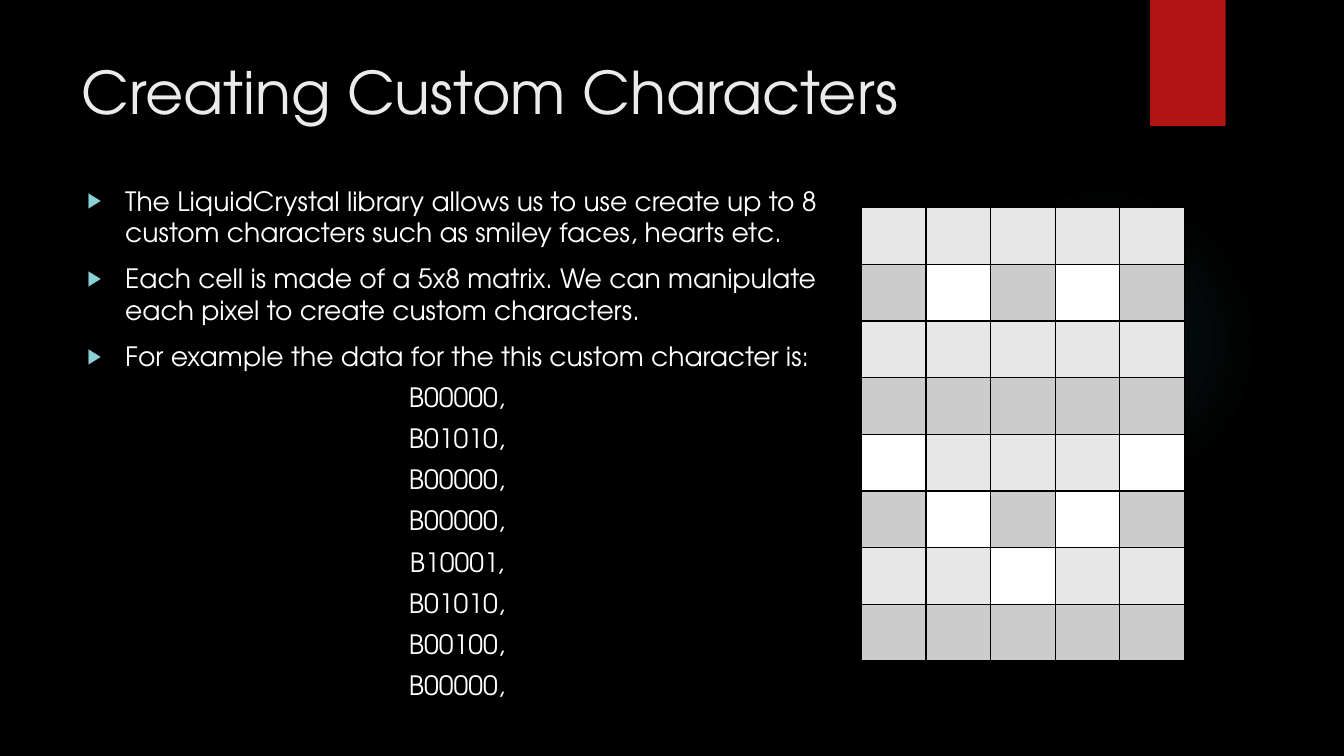
from lxml import etree
from pptx import Presentation
from pptx.dml.color import RGBColor
from pptx.enum import shapes, text
from pptx.oxml import parse_xml
from pptx.oxml.ns import nsdecls, qn
from pptx.util import Pt

BLACK = RGBColor(0x00, 0x00, 0x00)
WHITE = RGBColor(0xFF, 0xFF, 0xFF)
TITLE_GREY = RGBColor(0xEB, 0xEB, 0xEB)
RED = RGBColor(0xB0, 0x15, 0x13)
GLOW_TEAL = RGBColor(0x50, 0xB9, 0xC1)
BULLET_TEAL = RGBColor(0x8A, 0xD0, 0xD6)
ROW_GREYS = [RGBColor(0xE7, 0xE7, 0xE7), RGBColor(0xCC, 0xCC, 0xCC)]
FONT = "TeX Gyre Adventor"

POINTS = [
    "The LiquidCrystal library allows us to use create up to 8 custom characters such as smiley faces, hearts etc.",
    "Each cell is made of a 5x8 matrix. We can manipulate each pixel to create custom characters.",
    "For example the data for the this custom character is:",
]
SMILEY = ["00000", "01010", "00000", "00000", "10001", "01010", "00100", "00000"]


def add_text_frame(left, top, width, height):
    frame = slide.shapes.add_textbox(Pt(left), Pt(top), Pt(width), Pt(height)).text_frame
    frame.word_wrap = True
    frame.vertical_anchor = text.MSO_ANCHOR.TOP
    return frame


def write(frame, words, size, color, align=text.PP_ALIGN.LEFT, before=0, spacing=1.0, bullet=False):
    paragraph = frame.paragraphs[0]
    if paragraph.runs:
        paragraph = frame.add_paragraph()
    paragraph.alignment = align
    paragraph.space_before = Pt(before)
    paragraph.line_spacing = spacing
    run = paragraph.add_run()
    run.text = words
    run.font.name = FONT
    run.font.size = Pt(size)
    run.font.color.rgb = color
    if bullet:
        properties = paragraph._p.get_or_add_pPr()
        properties.set("marL", str(Pt(27)))
        properties.set("indent", str(-Pt(27)))
        bullet_color = etree.SubElement(properties, qn("a:buClr"))
        etree.SubElement(bullet_color, qn("a:srgbClr"), val=str(BULLET_TEAL))
        etree.SubElement(properties, qn("a:buSzPct"), val="80000")
        etree.SubElement(properties, qn("a:buFont"), typeface="Arial")
        etree.SubElement(properties, qn("a:buChar"), char="▶")


presentation = Presentation()
presentation.slide_width = Pt(960)
presentation.slide_height = Pt(540)
slide = presentation.slides.add_slide(presentation.slide_layouts[6])
slide.background.fill.solid()
slide.background.fill.fore_color.rgb = BLACK

glow = slide.shapes.add_shape(shapes.MSO_SHAPE.OVAL, Pt(677.5), Pt(131.8), Pt(221.8), Pt(221.8))
glow.shadow.inherit = False
glow.line.fill.background()
stops = "".join(
    f'<a:gs pos="{position}000"><a:srgbClr val="{GLOW_TEAL}"><a:alpha val="{alpha}000"/></a:srgbClr></a:gs>'
    for position, alpha in [(0, 7), (36, 6), (69, 0)]
)
glow._element.spPr.find(qn("a:prstGeom")).addnext(parse_xml(
    f'<a:gradFill {nsdecls("a")}><a:gsLst>{stops}</a:gsLst><a:path path="circle">'
    '<a:fillToRect l="50000" t="50000" r="50000" b="50000"/></a:path></a:gradFill>'
))

ribbon = slide.shapes.add_shape(shapes.MSO_SHAPE.RECTANGLE, Pt(821.5), Pt(0), Pt(54), Pt(90))
ribbon.fill.solid()
ribbon.fill.fore_color.rgb = RED
ribbon.line.fill.background()
ribbon.shadow.inherit = False
ribbon._element.spPr.find(qn("a:effectLst")).append(parse_xml(
    f'<a:outerShdw {nsdecls("a")} blurRad="{Pt(3)}" dist="{Pt(2)}" dir="5400000" rotWithShape="0">'
    f'<a:srgbClr val="{BLACK}"><a:alpha val="45000"/></a:srgbClr></a:outerShdw>'
))

title = add_text_frame(51.1, 36, 740.9, 67.7)
write(title, "Creating Custom Characters", size=42, color=TITLE_GREY)

body = add_text_frame(55.4, 128.2, 542.2, 377.3)
for point in POINTS:
    write(body, point, size=19, color=WHITE, before=10, bullet=True)
for bits in SMILEY:
    write(body, f"B{bits},", size=19, color=WHITE, align=text.PP_ALIGN.CENTER, before=2, spacing=1.2)

table_frame = slide.shapes.add_table(8, 5, Pt(615.2), Pt(148.3), Pt(231), Pt(324))
pixels = table_frame.table
for column in pixels.columns:
    column.width = Pt(46.2)
for row in pixels.rows:
    row.height = Pt(40.5)
for row_index, bits in enumerate(SMILEY):
    for column_index, bit in enumerate(bits):
        cell = pixels.cell(row_index, column_index)
        properties = cell._tc.get_or_add_tcPr()
        for side in ["lnL", "lnR", "lnT", "lnB"]:
            border = etree.SubElement(properties, qn(f"a:{side}"), w=str(Pt(1)))
            border_fill = etree.SubElement(border, qn("a:solidFill"))
            etree.SubElement(border_fill, qn("a:srgbClr"), val=str(BLACK))
        cell.fill.solid()
        cell.fill.fore_color.rgb = WHITE if bit == "1" else ROW_GREYS[row_index % 2]

presentation.save("out.pptx")
